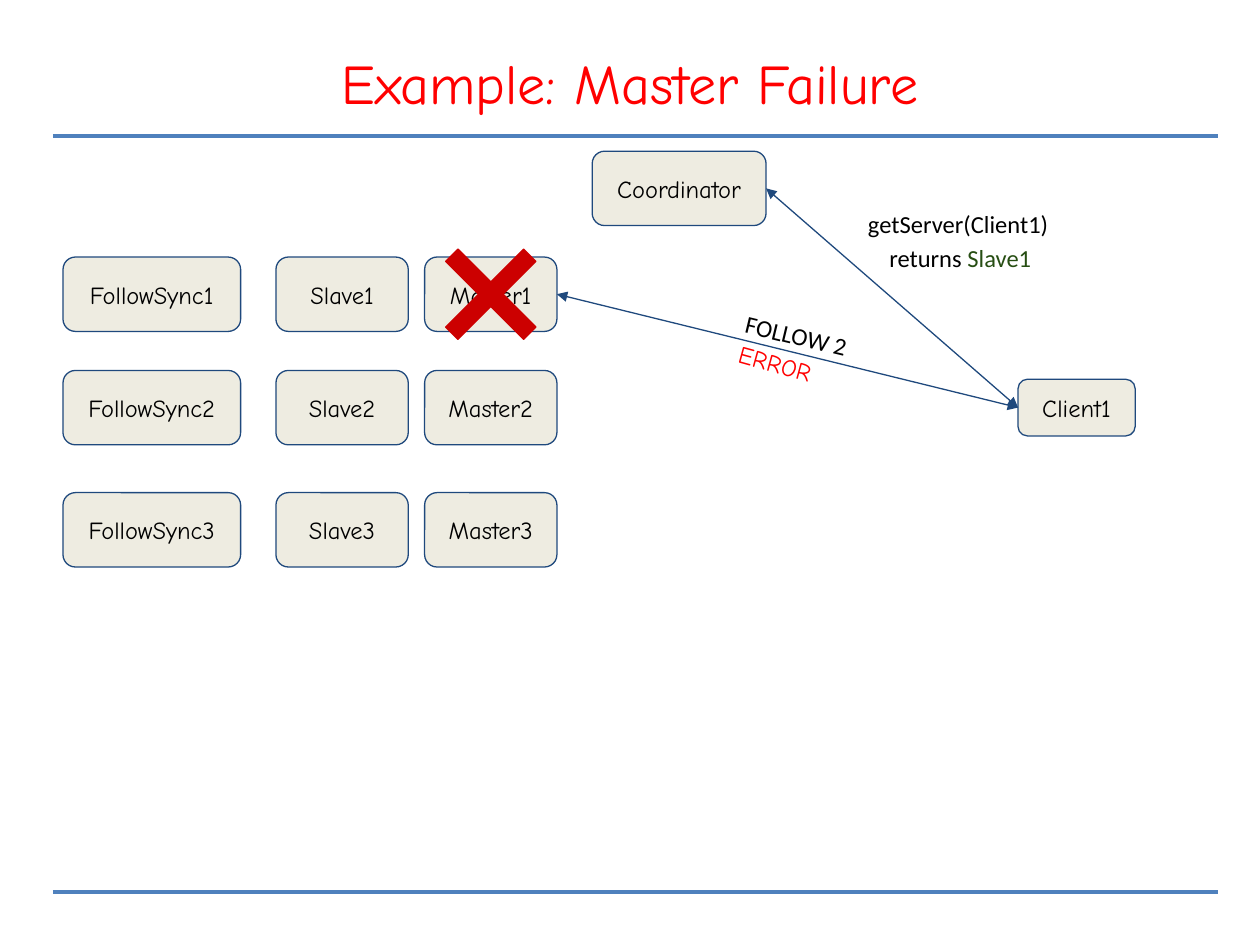
from dataclasses import dataclass

from lxml import etree
from pptx import Presentation
from pptx.dml.color import RGBColor
from pptx.enum import shapes as es, text as et
from pptx.oxml.ns import qn
from pptx.util import Inches, Pt


@dataclass(frozen=True)
class Theme:
    hand: str = "Comic Neue"
    sans: str = "Calibri"
    head: float = 32
    body: float = 14
    thin: float = 0.75
    thick: float = 2
    black: str = "000000"
    red: str = "FF0000"
    green: str = "274E13"
    cross: str = "CC0000"
    beige: str = "EEECE1"
    navy: str = "1F497D"
    blue: str = "4F81BD"


@dataclass(frozen=True)
class Node:
    name: str
    x: float
    y: float
    w: float
    h: float = 0.59


@dataclass(frozen=True)
class Note:
    runs: tuple[tuple[str, str], ...]
    x: float
    y: float
    w: float
    font: str
    turn: float = 0


T = Theme()
COLS = (("FollowSync", 0.5, 1.41), ("Slave", 2.19, 1.05), ("Master", 3.37, 1.05))
ROWS = (2.04, 2.94, 3.91)
NODES = [Node(f"{name}{i}", x, y, w)
         for name, x, w in COLS for i, y in enumerate(ROWS, 1)]
NODES += [Node("Client1", 8.08, 3.01, 0.93, 0.45),
          Node("Coordinator", 4.7, 1.2, 1.38)]
CALLS = (("Master1", "Client1"), ("Coordinator", "Client1"))
NOTES = (
    Note((("FOLLOW 2", T.black),), 5.8, 2.54, 1.83, T.sans, 13.5),
    Note((("ERROR", T.red),), 5.75, 2.73, 1.26, T.hand, 15.4),
    Note((("getServer(Client1)", T.black),), 6.79, 1.56, 1.88, T.sans),
    Note((("returns ", T.black), ("Slave1", T.green)), 6.96, 1.83, 1.64, T.sans),
)


def rgb(code: str) -> RGBColor:
    return RGBColor.from_string(code)


def style(font, name: str, size: float) -> None:
    font.name, font.size = name, Pt(size)


def pad(frame) -> None:
    frame.margin_left = frame.margin_right = Inches(0.1)
    frame.margin_top = frame.margin_bottom = Inches(0.1)
    frame.word_wrap = True


def add_form(slide, kind, box: tuple, fill: str, edge: str):
    form = slide.shapes.add_shape(kind, *map(Inches, box))
    form.shadow.inherit = False
    form.fill.solid()
    form.fill.fore_color.rgb = rgb(fill)
    form.line.color.rgb = rgb(edge)
    form.line.width = Pt(T.thin)
    return form


def add_node(slide, node: Node):
    form = add_form(slide, es.MSO_SHAPE.ROUNDED_RECTANGLE,
                    (node.x, node.y, node.w, node.h), T.beige, T.navy)
    frame = form.text_frame
    pad(frame)
    frame.vertical_anchor = et.MSO_ANCHOR.MIDDLE
    frame.text = node.name
    para = frame.paragraphs[0]
    para.alignment = et.PP_ALIGN.CENTER
    style(para.font, T.hand, T.body)
    para.font.color.rgb = rgb(T.black)
    return form


def add_note(slide, note: Note) -> None:
    box = slide.shapes.add_textbox(*map(Inches, (note.x, note.y, note.w, 0.44)))
    box.rotation = note.turn
    pad(box.text_frame)
    box.text_frame.auto_size = et.MSO_AUTO_SIZE.SHAPE_TO_FIT_TEXT
    para = box.text_frame.paragraphs[0]
    style(para.font, note.font, T.body)
    for words, color in note.runs:
        run = para.add_run()
        run.text = words
        run.font.color.rgb = rgb(color)


def add_line(slide, ends: tuple, color: str, width: float):
    line = slide.shapes.add_connector(es.MSO_CONNECTOR.STRAIGHT, *map(Inches, ends))
    line.line.color.rgb = rgb(color)
    line.line.width = Pt(width)
    etree.SubElement(line._element.spPr, qn("a:effectLst"))
    return line


def add_call(slide, start, end) -> None:
    """Join the right side of start to the left side of end, arrows at both ends."""
    line = add_line(slide, (0, 0, 1, 1), T.navy, T.thin)
    line.begin_connect(start, 3)
    line.end_connect(end, 1)
    for tag in ("a:headEnd", "a:tailEnd"):
        etree.SubElement(line.line._get_or_add_ln(), qn(tag), type="triangle")


def add_title(slide, words: str) -> None:
    title = slide.shapes.title
    title.left, title.top, title.width, title.height = map(Inches, (0.5, 0.3, 9, 0.7))
    title.text_frame.text = words
    title.text_frame.vertical_anchor = et.MSO_ANCHOR.MIDDLE
    para = title.text_frame.paragraphs[0]
    para.alignment = et.PP_ALIGN.CENTER
    style(para.font, T.hand, T.head)
    para.font.color.rgb = rgb(T.red)


def main() -> None:
    deck = Presentation()
    deck.slide_width, deck.slide_height = Inches(10), Inches(7.5)
    slide = deck.slides.add_slide(deck.slide_layouts[5])
    for y in (1.08, 7.08):
        add_line(slide, (0.42, y, 9.67, y), T.blue, T.thick)
    add_title(slide, "Example: Master Failure")
    forms = {node.name: add_node(slide, node) for node in NODES}
    cross = add_form(slide, es.MSO_SHAPE.MATH_MULTIPLY,
                     (3.3, 1.74, 1.19, 1.19), T.cross, T.cross)
    cross.adjustments[0] = 0.116
    for start, end in CALLS:
        add_call(slide, forms[start], forms[end])
    for note in NOTES:
        add_note(slide, note)
    deck.save("out.pptx")


if __name__ == "__main__":
    main()
